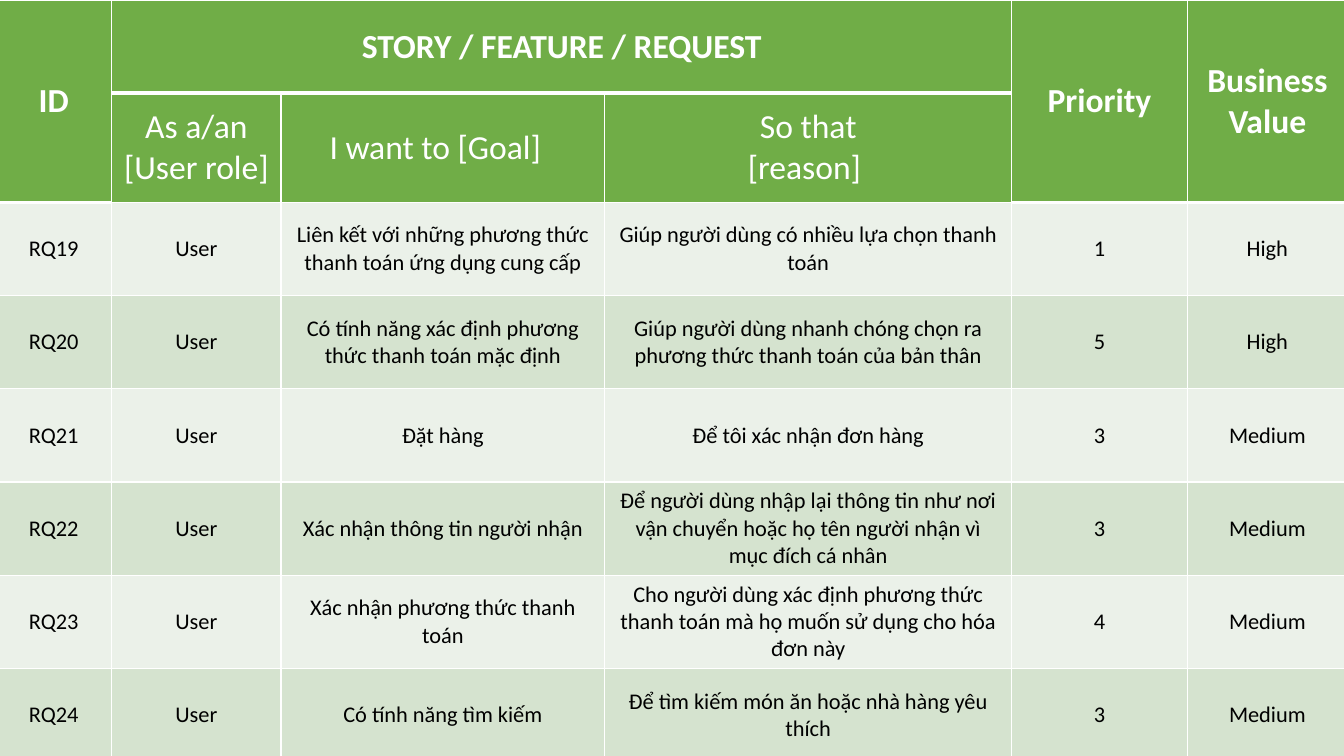
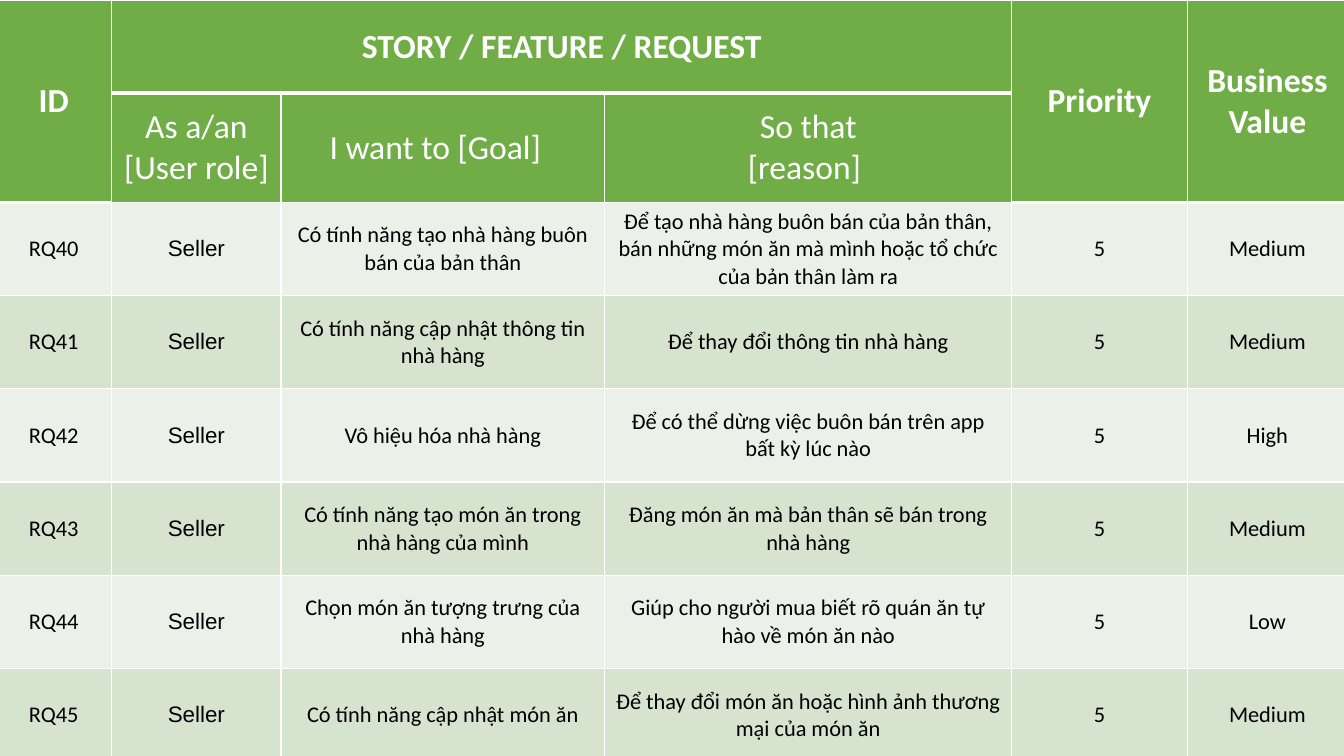
from lxml import etree
from pptx import Presentation
from pptx.dml.color import RGBColor
from pptx.enum import text
from pptx.oxml import ns
from pptx.util import Pt

GREEN = RGBColor(0x70, 0xAD, 0x47)
WHITE = RGBColor(0xFF, 0xFF, 0xFF)
BLACK = RGBColor(0x00, 0x00, 0x00)
BANDS = (RGBColor(0xEB, 0xF1, 0xE9), RGBColor(0xD5, 0xE3, 0xCF))

SLIDE_W, SLIDE_H = 960, 540
LEFT, TOP = -3, 0
COL_WIDTHS = (82.8, 121, 231.1, 290.9, 125.3, 114.5)
ROW_H, SUBHEAD_H = 66.6, 78
THIN, THICK = 1, 3

TITLES = [
    (0, 0, 1, 0, "ID"),
    (0, 1, 0, 3, "STORY / FEATURE / REQUEST"),
    (0, 4, 1, 4, "Priority"),
    (0, 5, 1, 5, "Business Value"),
]
SUBTITLES = ["As a/an\n[User role]", "I want to [Goal]", "So that\n[reason] "]
GOAL_COL, GOAL_MARGIN = 2, 18
TALL_COLS = (0, 4, 5)

BACKLOGS = [
    {"role": "User", "role_font": "Calibri", "first_id": 19, "stories": [
        ("Liên kết với những phương thức thanh toán ứng dụng cung cấp",
         "Giúp người dùng có nhiều lựa chọn thanh toán", 1, "High"),
        ("Có tính năng xác định phương thức thanh toán mặc định",
         "Giúp người dùng nhanh chóng chọn ra phương thức thanh toán của bản thân", 5, "High"),
        ("Đặt hàng", "Để tôi xác nhận đơn hàng", 3, "Medium"),
        ("Xác nhận thông tin người nhận",
         "Để người dùng nhập lại thông tin như nơi vận chuyển hoặc họ tên "
         "người nhận vì mục đích cá nhân", 3, "Medium"),
        ("Xác nhận phương thức thanh toán",
         "Cho người dùng xác định phương thức thanh toán mà họ muốn sử dụng "
         "cho hóa đơn này", 4, "Medium"),
        ("Có tính năng tìm kiếm",
         "Để tìm kiếm món ăn hoặc nhà hàng yêu thích", 3, "Medium"),
    ]},
    {"role": "Seller", "role_font": "Arial", "first_id": 40, "stories": [
        ("Có tính năng tạo nhà hàng buôn bán của bản thân",
         "Để tạo nhà hàng buôn bán của bản thân, bán những món ăn mà mình "
         "hoặc tổ chức của bản thân làm ra", 5, "Medium"),
        ("Có tính năng cập nhật thông tin nhà hàng",
         "Để thay đổi thông tin nhà hàng", 5, "Medium"),
        ("Vô hiệu hóa nhà hàng",
         "Để có thể dừng việc buôn bán trên app bất kỳ lúc nào", 5, "High"),
        ("Có tính năng tạo món ăn trong nhà hàng của mình",
         "Đăng món ăn mà bản thân sẽ bán trong nhà hàng", 5, "Medium"),
        ("Chọn món ăn tượng trưng của nhà hàng",
         "Giúp cho người mua biết rõ quán ăn tự hào về món ăn nào", 5, "Low"),
        ("Có tính năng cập nhật món ăn",
         "Để thay đổi món ăn hoặc hình ảnh thương mại của món ăn", 5, "Medium"),
    ]},
]


def write(cell, content, size=16, font="Calibri", color=BLACK, bold=False):
    cell.vertical_anchor = text.MSO_ANCHOR.MIDDLE
    tf = cell.text_frame
    tf.text = content
    for p in tf.paragraphs:
        p.alignment = text.PP_ALIGN.CENTER
        for r in p.runs:
            r.font.size = Pt(size)
            r.font.name = font
            r.font.color.rgb = color
            r.font.bold = bold


def bottom_width(row, col):
    return THICK if row == 0 or (row == 1 and col in TALL_COLS) else THIN


def set_borders(cell, row, col):
    top = bottom_width(row - 1, col) if row else THIN
    widths = {"L": THIN, "R": THIN, "T": top, "B": bottom_width(row, col)}
    tc_pr = cell._tc.get_or_add_tcPr()
    for side, width in widths.items():
        ln = etree.SubElement(tc_pr, ns.qn(f"a:ln{side}"), w=str(Pt(width)))
        fill = etree.SubElement(ln, ns.qn("a:solidFill"))
        etree.SubElement(fill, ns.qn("a:srgbClr"), val=str(WHITE))


def add_backlog(prs, backlog):
    heights = [ROW_H, SUBHEAD_H] + [ROW_H] * len(backlog["stories"])
    s = prs.slides.add_slide(prs.slide_layouts[6])
    table = s.shapes.add_table(len(heights), len(COL_WIDTHS), Pt(LEFT), Pt(TOP),
                               Pt(sum(COL_WIDTHS)), Pt(sum(heights))).table
    table.first_row = table.horz_banding = False
    for column, width in zip(table.columns, COL_WIDTHS):
        column.width = Pt(width)
    for i, height in enumerate(heights):
        table.rows[i].height = Pt(height)
        for j in range(len(COL_WIDTHS)):
            cell = table.cell(i, j)
            set_borders(cell, i, j)
            cell.fill.solid()
            cell.fill.fore_color.rgb = GREEN if i < 2 else BANDS[i % 2]

    for top, left, bottom, right, title in TITLES:
        cell = table.cell(top, left)
        cell.merge(table.cell(bottom, right))
        write(cell, title, size=24, color=WHITE, bold=True)
    for j, subtitle in enumerate(SUBTITLES, 1):
        write(table.cell(1, j), subtitle, size=24, color=WHITE)
    table.cell(1, GOAL_COL).margin_right = Pt(GOAL_MARGIN)

    for i, story in enumerate(backlog["stories"]):
        values = (f"RQ{backlog['first_id'] + i}", backlog["role"], *story)
        for j, value in enumerate(values):
            font = backlog["role_font"] if j == 1 else "Calibri"
            write(table.cell(i + 2, j), str(value), font=font)


def main():
    prs = Presentation()
    prs.slide_width, prs.slide_height = Pt(SLIDE_W), Pt(SLIDE_H)
    for backlog in BACKLOGS:
        add_backlog(prs, backlog)
    prs.save("out.pptx")


if __name__ == "__main__":
    main()
